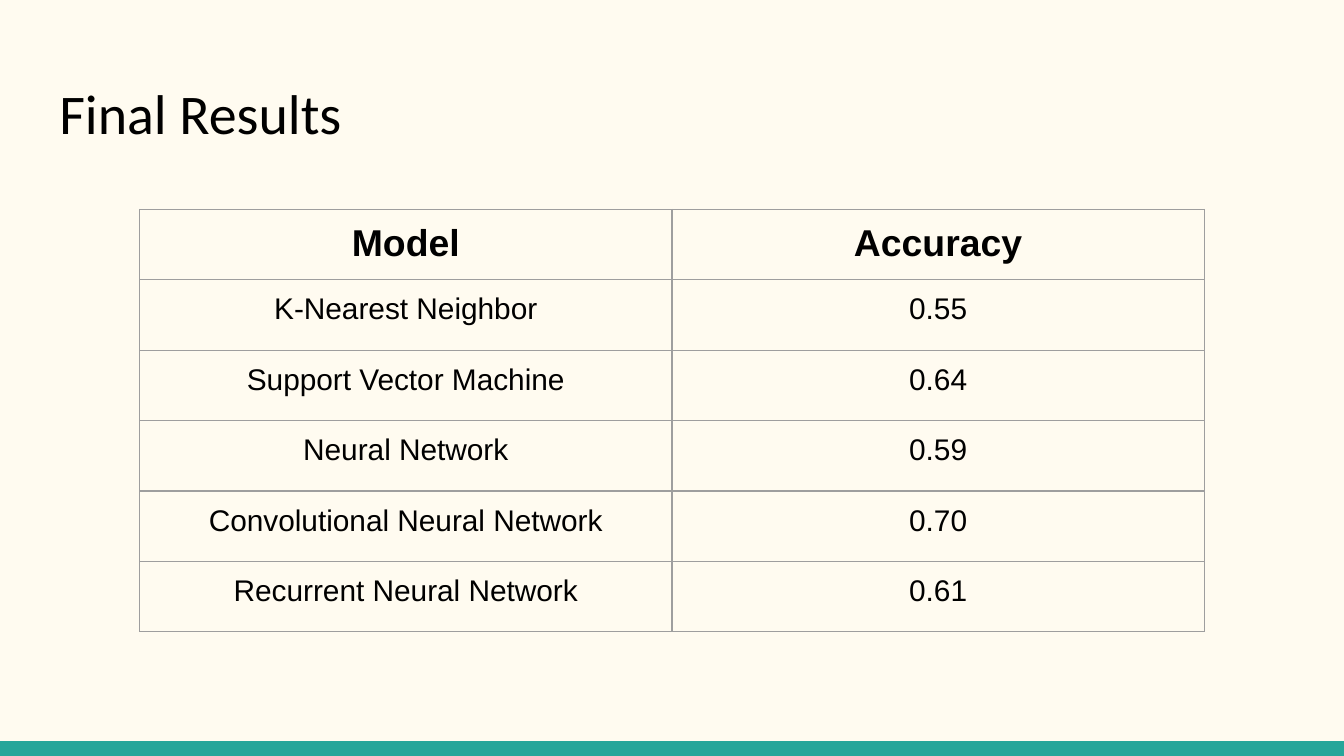
"""Build the final results slide with a table of model accuracies."""
from dataclasses import dataclass

from lxml import etree
from pptx import Presentation
from pptx.dml.color import RGBColor
from pptx.enum.shapes import MSO_SHAPE
from pptx.enum.text import MSO_ANCHOR, MSO_AUTO_SIZE, PP_ALIGN
from pptx.oxml.ns import qn
from pptx.slide import Slide
from pptx.table import _Cell
from pptx.text.text import TextFrame
from pptx.util import Cm, Pt

RECTANGLE = MSO_SHAPE.RECTANGLE
TOP = MSO_ANCHOR.TOP
NO_AUTOFIT = MSO_AUTO_SIZE.NONE
LEFT, CENTER = PP_ALIGN.LEFT, PP_ALIGN.CENTER
TITLE_ONLY = 5


@dataclass(frozen=True)
class Theme:
    background: str = "FFFBF0"
    accent: str = "26A69A"
    ink: str = "000000"
    grid: str = "9E9E9E"
    title_font: str = "Calibri"
    body_font: str = "Arial"
    title_size: float = 30
    header_size: float = 20
    body_size: float = 16
    grid_width: float = 0.75
    inset: float = 0.25


@dataclass(frozen=True)
class Result:
    model: str
    accuracy: str


@dataclass(frozen=True)
class TextStyle:
    font: str
    size: float
    bold: bool = False
    align: PP_ALIGN = CENTER


THEME = Theme()
TITLE_STYLE = TextStyle(THEME.title_font, THEME.title_size, align=LEFT)
HEADER_STYLE = TextStyle(THEME.body_font, THEME.header_size, bold=True)
BODY_STYLE = TextStyle(THEME.body_font, THEME.body_size)

SLIDE_WIDTH, SLIDE_HEIGHT = 25.4, 14.29
FOOTER_HEIGHT = 0.28
TABLE_TOP = 3.96
COLUMN_WIDTH, ROW_HEIGHT = 10.06, 1.33

HEADER = Result("Model", "Accuracy")
RESULTS = [
    Result("K-Nearest Neighbor", "0.55"),
    Result("Support Vector Machine", "0.64"),
    Result("Neural Network", "0.59"),
    Result("Convolutional Neural Network", "0.70"),
    Result("Recurrent Neural Network", "0.61"),
]


def write(frame: TextFrame, text: str, style: TextStyle) -> None:
    paragraph = frame.paragraphs[0]
    paragraph.alignment = style.align
    run = paragraph.add_run()
    run.text = text
    run.font.name = style.font
    run.font.size = Pt(style.size)
    run.font.bold = style.bold
    run.font.color.rgb = RGBColor.from_string(THEME.ink)


def add_title(slide: Slide, text: str) -> None:
    title = slide.shapes.title
    title.left, title.top = Cm(0.87), Cm(1.24)
    title.width, title.height = Cm(23.67), Cm(1.7)
    frame = title.text_frame
    frame.word_wrap = True
    frame.auto_size = NO_AUTOFIT
    frame.vertical_anchor = TOP
    frame.margin_left = frame.margin_right = Cm(THEME.inset)
    frame.margin_top = frame.margin_bottom = Cm(THEME.inset)
    write(frame, text, TITLE_STYLE)


def add_footer_bar(slide: Slide) -> None:
    bar = slide.shapes.add_shape(
        RECTANGLE, Cm(0), Cm(SLIDE_HEIGHT - FOOTER_HEIGHT),
        Cm(SLIDE_WIDTH), Cm(FOOTER_HEIGHT))
    bar.shadow.inherit = False
    bar.fill.solid()
    bar.fill.fore_color.rgb = RGBColor.from_string(THEME.accent)
    bar.line.fill.background()


def draw_borders(cell: _Cell) -> None:
    properties = cell._tc.get_or_add_tcPr()
    for side in ("a:lnL", "a:lnR", "a:lnT", "a:lnB"):
        border = etree.SubElement(properties, qn(side), w=str(Pt(THEME.grid_width)))
        fill = etree.SubElement(border, qn("a:solidFill"))
        etree.SubElement(fill, qn("a:srgbClr"), val=THEME.grid)


def fill_cell(cell: _Cell, text: str, style: TextStyle) -> None:
    draw_borders(cell)
    cell.fill.background()
    cell.vertical_anchor = TOP
    cell.margin_left = cell.margin_right = Cm(THEME.inset)
    cell.margin_top = cell.margin_bottom = Cm(THEME.inset)
    write(cell.text_frame, text, style)


def add_results_table(slide: Slide, header: Result, results: list[Result]) -> None:
    rows = [header, *results]
    width = 2 * COLUMN_WIDTH
    table = slide.shapes.add_table(
        len(rows), 2, Cm((SLIDE_WIDTH - width) / 2), Cm(TABLE_TOP),
        Cm(width), Cm(ROW_HEIGHT * len(rows))).table
    table.first_row = table.horz_banding = False
    for index, result in enumerate(rows):
        table.rows[index].height = Cm(ROW_HEIGHT)
        style = BODY_STYLE if index else HEADER_STYLE
        fill_cell(table.cell(index, 0), result.model, style)
        fill_cell(table.cell(index, 1), result.accuracy, style)


def main() -> None:
    presentation = Presentation()
    presentation.slide_width = Cm(SLIDE_WIDTH)
    presentation.slide_height = Cm(SLIDE_HEIGHT)
    slide = presentation.slides.add_slide(presentation.slide_layouts[TITLE_ONLY])
    slide.background.fill.solid()
    slide.background.fill.fore_color.rgb = RGBColor.from_string(THEME.background)
    add_footer_bar(slide)
    add_title(slide, "Final Results")
    add_results_table(slide, HEADER, RESULTS)
    presentation.save("out.pptx")


if __name__ == "__main__":
    main()
